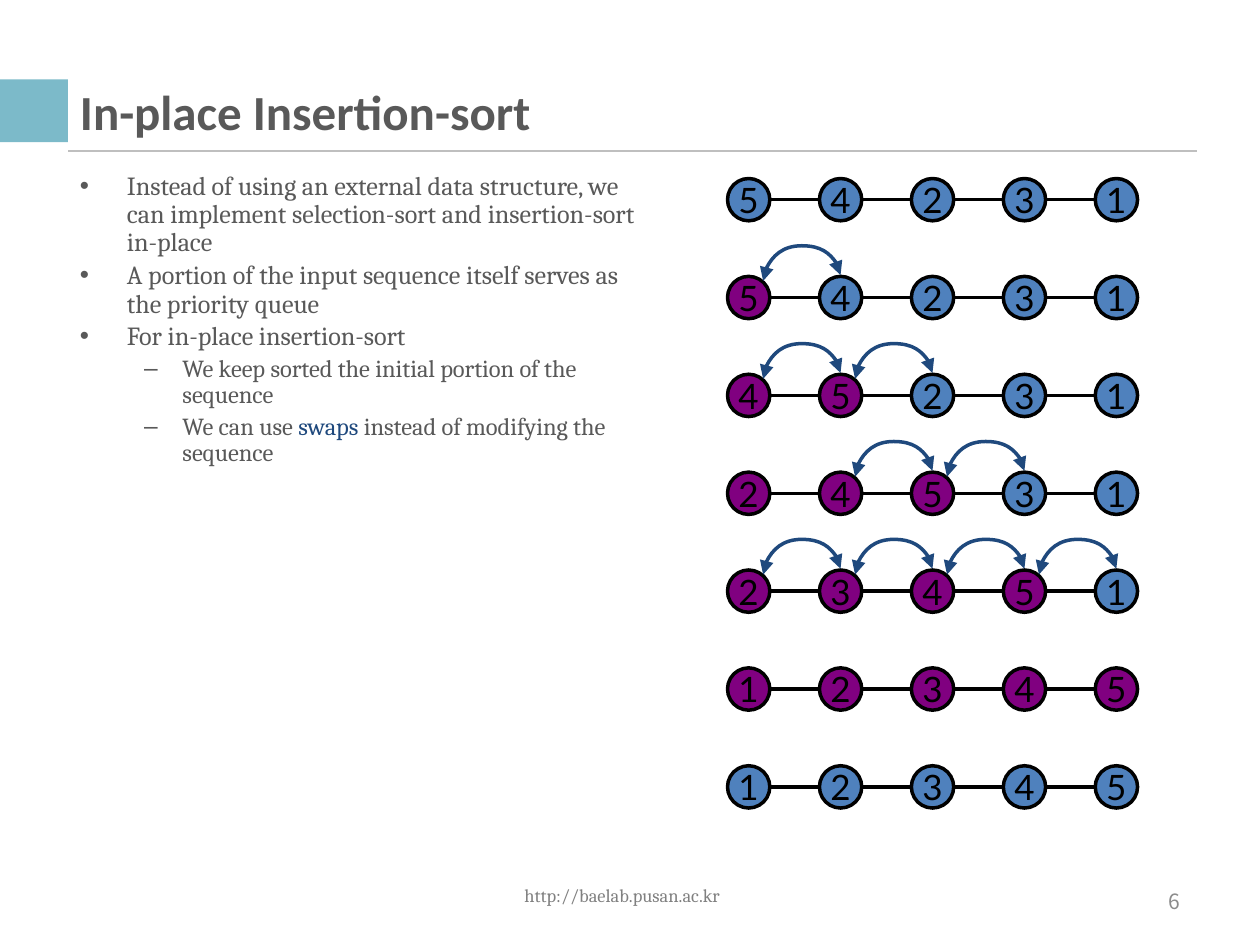
import pptx
import pptx.util
import pptx.dml.color
import pptx.enum.shapes
import pptx.enum.text
import pptx.oxml.ns
import lxml.etree

Cm = pptx.util.Cm
Pt = pptx.util.Pt
SHAPE = pptx.enum.shapes.MSO_SHAPE
CONNECTOR = pptx.enum.shapes.MSO_CONNECTOR
ALIGN = pptx.enum.text.PP_ALIGN
ANCHOR = pptx.enum.text.MSO_ANCHOR

COLORS = {
    "accent": "7CBAC9", "rule": "BFBFBF", "text": "595959", "swap": "1F497D",
    "footer": "808080", "number": "8C8C8C", "black": "000000",
    "unsorted": "4F81BD", "sorted": "800080",
}

BULLETS = [
    (0, ["Instead of using an external data structure, we can implement "
         "selection-sort and insertion-sort in-place"]),
    (0, ["A portion of the input sequence itself serves as the priority queue"]),
    (0, ["For in-place insertion-sort"]),
    (1, ["We keep sorted the initial portion of the sequence"]),
    (1, ["We can use ", "swaps", " instead of modifying the sequence"]),
]
LEVELS = [("•", 0.71, -0.71, 11.2), ("–", 1.55, -0.58, 10.5)]

STEPS = [
    ("54231", 0, []),
    ("54231", 1, [0]),
    ("45231", 2, [1, 0]),
    ("24531", 3, [1, 2]),
    ("23451", 4, [3, 1, 0, 2]),
    ("12345", 5, []),
    ("12345", 0, []),
]
NODE, NODE_PITCH, ROW_PITCH = 0.64, 1.39, 1.48
SWAP_WIDTH, SWAP_DROP, SWAP_BEND = 1.17, 0.09, -4.93


def rgb(name):
    return pptx.dml.color.RGBColor.from_string(COLORS[name])


def add_xml(parent, tag, **attributes):
    return lxml.etree.SubElement(parent, pptx.oxml.ns.qn(tag), attributes)


def style_font(font, family, size, color, bold=False):
    font.name, font.size, font.bold = family, Pt(size), bold
    font.color.rgb = rgb(color)


def add_label(slide, box, text, family, size, color, align, bold=False):
    frame = slide.shapes.add_textbox(*map(Cm, box)).text_frame
    frame.word_wrap = True
    frame.vertical_anchor = ANCHOR.MIDDLE
    frame.text = text
    frame.paragraphs[0].alignment = align
    style_font(frame.paragraphs[0].runs[0].font, family, size, color, bold)


def add_line(shapes, kind, start, end, color, width):
    line = shapes.add_connector(kind, *map(Cm, (*start, *end)))
    line.line.color.rgb = rgb(color)
    line.line.width = Pt(width)
    add_xml(line._element.spPr, "a:effectLst")
    return line


def add_header(slide, left, top, width, height):
    tab_width = 1.03
    tab = slide.shapes.add_shape(SHAPE.RECTANGLE, *map(Cm, (left, top, tab_width, height)))
    tab.shadow.inherit = False
    tab.fill.solid()
    tab.fill.fore_color.rgb = rgb("accent")
    tab.line.fill.background()
    rule_y = top + height + 0.13
    add_line(slide.shapes, CONNECTOR.STRAIGHT, (left + tab_width, rule_y),
             (left + width, rule_y), "rule", 1)
    add_label(slide, (left + 0.96, top + 0.03, width - 0.96, 0.9),
              "In-place Insertion-sort", "Calibri", 21, "text", ALIGN.LEFT, True)


def add_bullets(slide, *box):
    frame = slide.shapes.add_textbox(*map(Cm, box)).text_frame
    frame.word_wrap = True
    for index, (level, parts) in enumerate(BULLETS):
        paragraph = frame.paragraphs[0] if index == 0 else frame.add_paragraph()
        mark, margin, indent, size = LEVELS[level]
        paragraph.level = level
        paragraph.line_spacing = 0.9
        paragraph.space_before = Pt(2 if index else 0)
        properties = paragraph._p.get_or_add_pPr()
        properties.set("marL", str(Cm(margin)))
        properties.set("indent", str(Cm(indent)))
        add_xml(properties, "a:buFont", typeface="Arial")
        add_xml(properties, "a:buChar", char=mark)
        for part in parts:
            run = paragraph.add_run()
            run.text = part
            style_font(run.font, "Cambria", size, "swap" if part == "swaps" else "text")


def add_node(shapes, left, top, digit, color):
    node = shapes.add_shape(SHAPE.OVAL, *map(Cm, (left, top, NODE, NODE)))
    node.shadow.inherit = False
    node.fill.solid()
    node.fill.fore_color.rgb = rgb(color)
    node.line.color.rgb = rgb("black")
    node.line.width = Pt(1.5)
    frame = node.text_frame
    frame.margin_left = frame.margin_right = frame.margin_top = frame.margin_bottom = 0
    frame.word_wrap = False
    frame.vertical_anchor = ANCHOR.MIDDLE
    frame.text = digit
    frame.paragraphs[0].alignment = ALIGN.CENTER
    style_font(frame.paragraphs[0].runs[0].font, "Lato", 15, "black")


def add_swap(slide, right, top):
    middle_x, middle_y = right - SWAP_WIDTH / 2, top + SWAP_DROP / 2
    start = (middle_x + SWAP_DROP / 2, middle_y + SWAP_WIDTH / 2)
    end = (middle_x - SWAP_DROP / 2, middle_y - SWAP_WIDTH / 2)
    swap = add_line(slide.shapes, CONNECTOR.CURVE, start, end, "swap", 1.5)
    properties = swap._element.spPr
    properties.find(pptx.oxml.ns.qn("a:xfrm")).set("rot", str(270 * 60000))
    adjustments = properties.find(pptx.oxml.ns.qn("a:prstGeom")).get_or_add_avLst()
    add_xml(adjustments, "a:gd", name="adj1", fmla=f"val {round(SWAP_BEND * 100000)}")
    outline = properties.find(pptx.oxml.ns.qn("a:ln"))
    for tip in ("a:headEnd", "a:tailEnd"):
        add_xml(outline, tip, type="triangle")


def add_sort_steps(slide, left, top):
    for row, (digits, sorted_count, swaps) in enumerate(STEPS):
        row_top = top + row * ROW_PITCH
        sequence = slide.shapes.add_group_shape().shapes
        middle = row_top + NODE / 2
        last_left = left + (len(digits) - 1) * NODE_PITCH
        add_line(sequence, CONNECTOR.STRAIGHT, (left + NODE, middle),
                 (last_left, middle), "black", 1.5)
        for column, digit in enumerate(digits):
            add_node(sequence, left + column * NODE_PITCH, row_top, digit,
                     "sorted" if column < sorted_count else "unsorted")
        for column in swaps:
            add_swap(slide, left + (column + 1) * NODE_PITCH + NODE / 2, row_top - 0.02)


def add_footer(slide, left, top, width, height):
    add_label(slide, (left + 6.38, top, 6.05, height), "http://baelab.pusan.ac.kr",
              "Cambria", 7.9, "footer", ALIGN.CENTER)
    add_label(slide, (left + width - 4.45, top + 0.08, 4.45, height), "6",
              "Noto Sans CJK KR", 9, "number", ALIGN.RIGHT)


def main():
    deck = pptx.Presentation()
    deck.slide_width, deck.slide_height = Cm(19.05), Cm(14.29)
    slide = deck.slides.add_slide(deck.slide_layouts[6])
    add_header(slide, 0, 1.2, 18.1, 0.95)
    add_bullets(slide, 0.96, 2.49, 9, 10.29)
    add_sort_steps(slide, 11, 2.7)
    add_footer(slide, 0, 13.16, 18.1, 0.76)
    deck.save("out.pptx")


if __name__ == "__main__":
    main()
